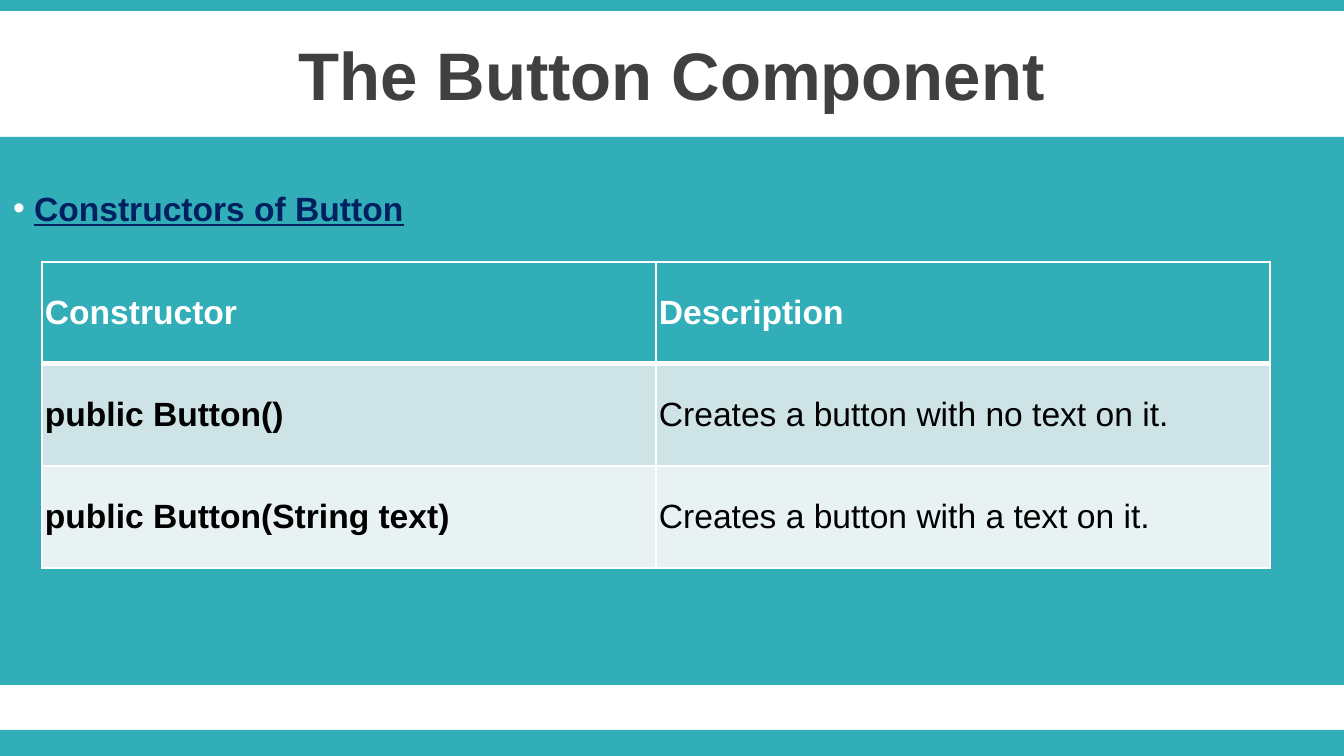
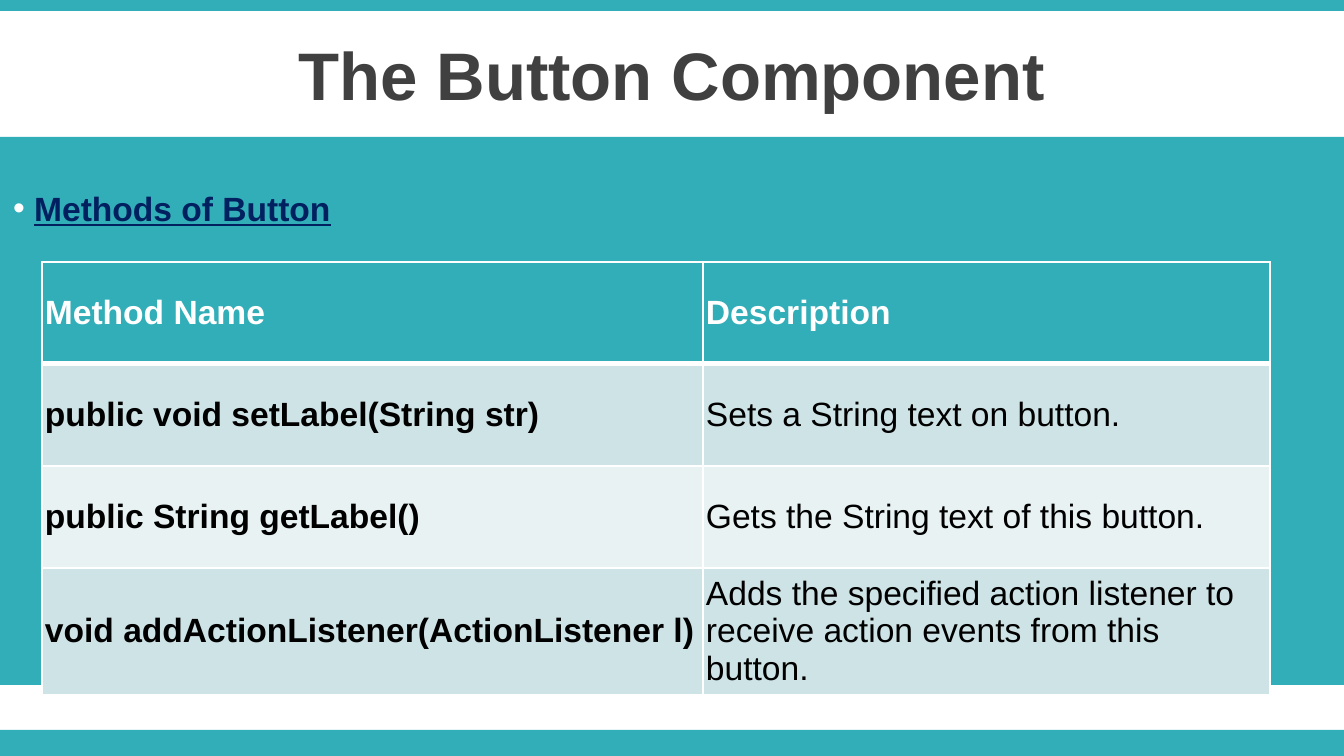
from lxml import etree
from pptx import Presentation
from pptx import util as u
from pptx.dml.color import RGBColor
from pptx.enum import shapes, text
from pptx.oxml.ns import qn

PX = 914400 / 134.4
WIDTH, HEIGHT = 1344, 756
TEAL = RGBColor(0x32, 0xAE, 0xB8)
WHITE = RGBColor(0xFF, 0xFF, 0xFF)
BLACK = RGBColor(0x00, 0x00, 0x00)
NAVY = RGBColor(0x00, 0x20, 0x60)
CHARCOAL = RGBColor(0x40, 0x40, 0x40)
ROW_TINTS = [RGBColor(0xCE, 0xE3, 0xE6), RGBColor(0xE8, 0xF2, 0xF3)]

BANDS = [(0, 11), (730, 26), (137, 548)]
TITLE = "The Button Component"
TITLE_FONT = dict(size=u.Pt(36), bold=True, color=CHARCOAL)
TOPIC_FONT = dict(size=u.Pt(18), bold=True, underline=True, color=NAVY)
HEADER_FONT = dict(size=u.Pt(18), bold=True, color=WHITE)
CODE_FONT = dict(size=u.Pt(18), bold=True, color=BLACK)
PROSE_FONT = dict(size=u.Pt(18), bold=False, color=BLACK)

TABLE_LEFT, TABLE_TOP, ROW_HEIGHT, CELL_INSET = 42, 262, 102, 3
BULLET_INDENT = 21

PAGES = [
    ("Constructors of Button", (614, 614), [
        ("Constructor", "Description"),
        ("public Button()", "Creates a button with no text on it."),
        ("public Button(String text)", "Creates a button with a text on it."),
    ]),
    ("Methods of Button", (661, 567), [
        ("Method Name", "Description"),
        ("public void setLabel(String str)", "Sets a String text on button."),
        ("public String getLabel()", "Gets the String text of this button."),
        ("void addActionListener(ActionListener l)",
         "Adds the specified action listener to receive action events from this button."),
    ]),
]


def px(length):
    return u.Emu(round(length * PX))


def apply(target, values):
    for name, value in values.items():
        setattr(target, name, value)


def write(paragraph, words, font_values):
    run = paragraph.add_run()
    run.text = words
    values = dict(font_values, name="Arial")
    run.font.color.rgb = values.pop("color")
    apply(run.font, values)


def add_band(slide, top, height):
    band = slide.shapes.add_shape(
        shapes.MSO_SHAPE.RECTANGLE, 0, px(top), px(WIDTH), px(height))
    band.shadow.inherit = False
    band.fill.solid()
    band.fill.fore_color.rgb = TEAL
    band.line.fill.background()


def add_text(slide, top, height, words, font_values, **frame_values):
    frame = slide.shapes.add_textbox(0, px(top), px(WIDTH), px(height)).text_frame
    apply(frame, dict(frame_values, word_wrap=True))
    paragraph = frame.paragraphs[0]
    write(paragraph, words, font_values)
    return paragraph


def add_title(slide):
    title = add_text(slide, 31, 85, TITLE, TITLE_FONT,
                     vertical_anchor=text.MSO_ANCHOR.MIDDLE)
    title.alignment = text.PP_ALIGN.CENTER


def add_topic(slide, words):
    topic = add_text(slide, 138, 461, words, TOPIC_FONT, margin_top=px(50))
    layout = topic._p.get_or_add_pPr()
    layout.set("marL", str(px(BULLET_INDENT)))
    layout.set("indent", str(-px(BULLET_INDENT)))
    bullet_color = etree.SubElement(layout, qn("a:buClr"))
    etree.SubElement(bullet_color, qn("a:srgbClr"), val=str(WHITE))
    etree.SubElement(layout, qn("a:buFont"), typeface="Arial")
    etree.SubElement(layout, qn("a:buChar"), char="•")


def add_borders(cell, widths):
    properties = cell._tc.get_or_add_tcPr()
    for side, points in widths.items():
        border = etree.SubElement(properties, qn("a:ln" + side), w=str(u.Pt(points)))
        fill = etree.SubElement(border, qn("a:solidFill"))
        etree.SubElement(fill, qn("a:srgbClr"), val=str(WHITE))


def fill_cell(cell, words, font_values, tint, borders):
    add_borders(cell, borders)
    cell.fill.solid()
    cell.fill.fore_color.rgb = tint
    apply(cell, dict.fromkeys(
        ("margin_left", "margin_top", "margin_right", "margin_bottom"), px(CELL_INSET)))
    cell.vertical_anchor = text.MSO_ANCHOR.MIDDLE
    write(cell.text_frame.paragraphs[0], words, font_values)


def add_reference_table(slide, widths, rows):
    table = slide.shapes.add_table(
        len(rows), len(widths), px(TABLE_LEFT), px(TABLE_TOP),
        px(sum(widths)), px(ROW_HEIGHT * len(rows))).table
    table.horz_banding = False
    for column, width in zip(table.columns, widths):
        column.width = px(width)
    for r, entries in enumerate(rows):
        table.rows[r].height = px(ROW_HEIGHT)
        tint = ROW_TINTS[(r - 1) % 2] if r else TEAL
        fonts = (CODE_FONT, PROSE_FONT) if r else (HEADER_FONT, HEADER_FONT)
        borders = dict(L=1, R=1, T=3 if r == 1 else 1, B=1 if r else 3)
        for c, (words, font_values) in enumerate(zip(entries, fonts)):
            fill_cell(table.cell(r, c), words, font_values, tint, borders)


def main():
    deck = Presentation()
    apply(deck, dict(slide_width=px(WIDTH), slide_height=px(HEIGHT)))
    for topic, widths, rows in PAGES:
        slide = deck.slides.add_slide(deck.slide_layouts[6])
        for top, height in BANDS:
            add_band(slide, top, height)
        add_title(slide)
        add_topic(slide, topic)
        add_reference_table(slide, widths, rows)
    deck.save("out.pptx")


if __name__ == "__main__":
    main()
